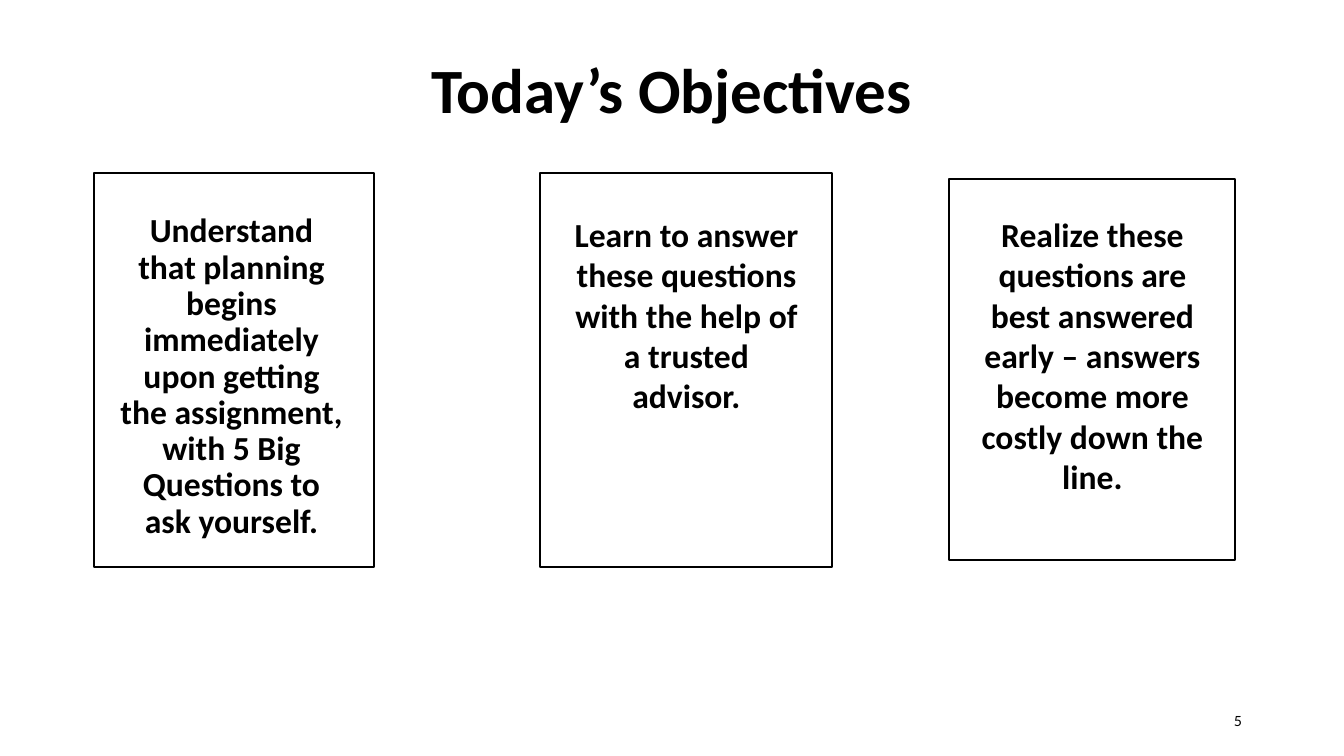
"""Build the "Today's Objectives" slide with three framed objectives."""
import pptx
import pptx.dml.color
import pptx.enum.shapes
import pptx.enum.text
import pptx.util

PX = 914400 / 100.8
COLORS = {"ink": "000000", "paper": "FFFFFF"}
ALIGN = pptx.enum.text.PP_ALIGN
INK = pptx.dml.color.RGBColor.from_string(COLORS["ink"])


def px(*lengths):
    return [pptx.util.Emu(round(length * PX)) for length in lengths]


def add_text(box, text, size, align, font="Calibri", bold=True):
    label = slide.shapes.add_textbox(*px(*box))
    label.text_frame.word_wrap = True
    label.text_frame.text = text
    paragraph = label.text_frame.paragraphs[0]
    paragraph.alignment = align
    run_font = paragraph.runs[0].font
    run_font.name = font
    run_font.size = pptx.util.Pt(size)
    run_font.bold = bold
    run_font.color.rgb = INK
    return label


deck = pptx.Presentation()
deck.slide_width, deck.slide_height = px(1344, 756)
slide = deck.slides.add_slide(deck.slide_layouts[6])
slide.background.fill.solid()
slide.background.fill.fore_color.rgb = pptx.dml.color.RGBColor.from_string(COLORS["paper"])

add_text((29, 46, 1285, 101), "Today’s Objectives", 45, ALIGN.CENTER)
page_number = add_text((950, 701, 302, 40), "5", 10, ALIGN.RIGHT, "Lato", False)
page_number.text_frame.vertical_anchor = pptx.enum.text.MSO_ANCHOR.MIDDLE

objectives = [
    ((94, 173, 280, 394), (109, 209, 245, 342), 0.9,
     "Understand that planning begins immediately upon getting the assignment, "
     "with 5 Big Questions to ask yourself."),
    ((540, 173, 292, 394), (564, 209, 245, 287), 1.0,
     "Learn to answer these questions with the help of a trusted advisor."),
    ((949, 179, 286, 381), (970, 209, 245, 298), 1.0,
     "Realize these questions are best answered early – answers become more "
     "costly down the line."),
]
for frame_box, text_box, line_spacing, wording in objectives:
    frame = slide.shapes.add_shape(pptx.enum.shapes.MSO_SHAPE.RECTANGLE, *px(*frame_box))
    frame.shadow.inherit = False
    frame.fill.background()
    frame.line.color.rgb = INK
    frame.line.width = pptx.util.Pt(1.75)
    objective = add_text(text_box, wording, 24, ALIGN.CENTER)
    objective.text_frame.paragraphs[0].line_spacing = line_spacing

deck.save("out.pptx")
